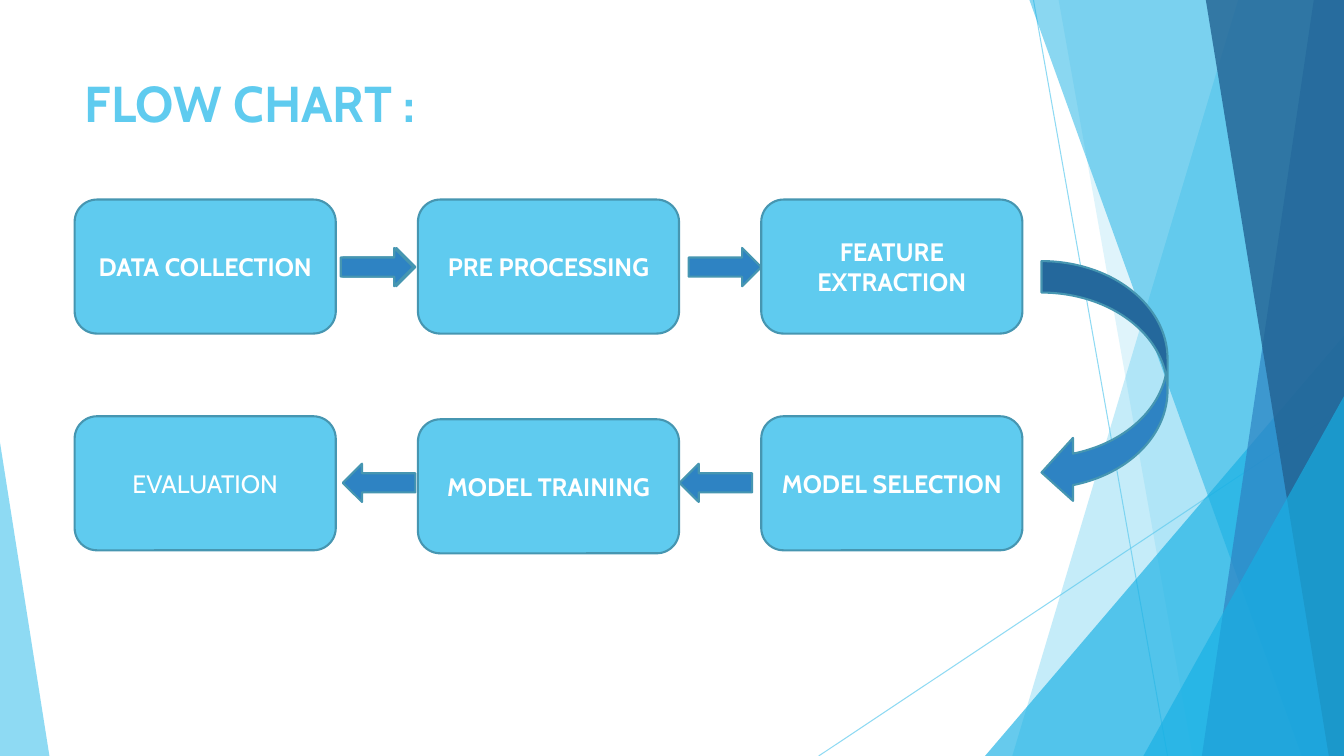
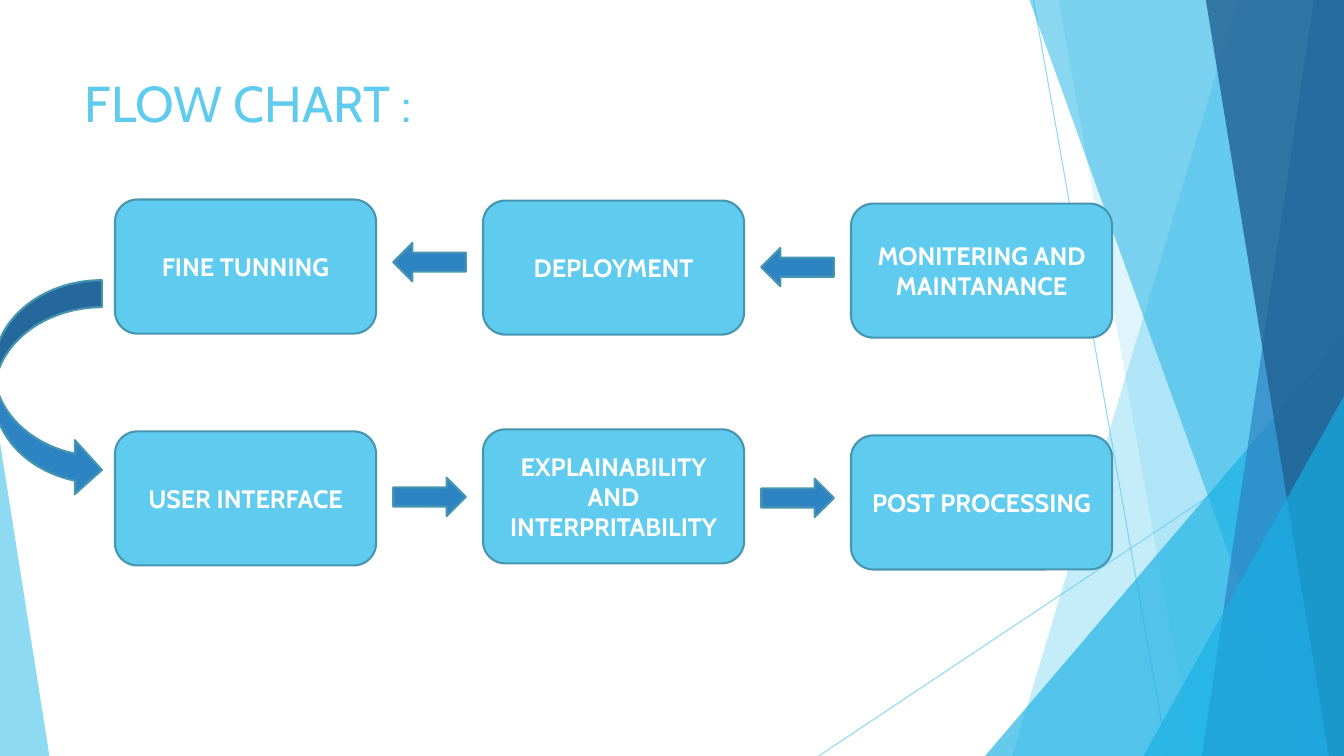
from collections import namedtuple
from dataclasses import dataclass

from lxml import etree
from pptx import Presentation
from pptx import util as u
from pptx.dml import color as colors
from pptx.enum import shapes, text
from pptx.oxml import ns

PX = 9144
WIDTH, HEIGHT = 1333, 750

Box = namedtuple("Box", "left top width height")
Step = namedtuple("Step", "label drop bold", defaults=(0, True))
Arrow = namedtuple("Arrow", "left top turn", defaults=(0,))
Flow = namedtuple("Flow", "area rows arrows bend bend_kind title_bold")


@dataclass(frozen=True)
class Theme:
    sky: str = "5FCBEF"
    cyan: str = "17B0E4"
    blue: str = "2E83C3"
    navy: str = "226292"
    outline: str = "4696B1"
    white: str = "FFFFFF"
    font: str = "Cabin"
    title_size: int = 36
    step_size: int = 18
    line_width: float = 1.5
    ray_width: float = 0.75


THEME = Theme()
STEP_WIDTH, STEP_HEIGHT = 259, 133
ARROW_WIDTH, ARROW_HEIGHT = 72, 38
TITLE = Box(74, 67, 940, 144)

RAYS = [(1025, 0, 1158, HEIGHT), (1333, 403, 812, HEIGHT)]
FACETS = [
    ("band", (1228, 1004), THEME.sky, 36),
    ("band", (1050, 1183), THEME.sky, 20),
    ("triangle", Box(977, 333, 356, 417), THEME.cyan, 66),
    ("band", (1021, 1291), THEME.cyan, 50),
    ("band", (1303, 1192), THEME.blue, 70),
    ("band", (1196, 1318), THEME.navy, 80),
    ("triangle", Box(1134, 393, 199, 357), THEME.cyan, 66),
    ("left triangle", Box(0, 439, 49, 311), THEME.sky, 70),
]

FLOWS = [
    Flow(
        area=Box(74, 198, 940, 348),
        rows=[
            (0, [Step("DATA COLLECTION"), Step("PRE PROCESSING"), Step("FEATURE EXTRACTION")]),
            (215, [Step("EVALUATION", bold=False), Step("MODEL TRAINING", 3), Step("MODEL SELECTION")]),
        ],
        arrows=[Arrow(266, 48), Arrow(264, 48), Arrow(609, 48), Arrow(266, 262, 180), Arrow(600, 262, 180)],
        bend=Box(959, 61, 125, 241),
        bend_kind=shapes.MSO_SHAPE.CURVED_LEFT_ARROW,
        title_bold=True,
    ),
    Flow(
        area=Box(114, 198, 989, 367),
        rows=[
            (0, [Step("FINE TUNNING"), Step("DEPLOYMENT", 1), Step("MONITERING AND MAINTANANCE", 4)]),
            (228, [Step("USER INTERFACE", 2), Step("EXPLAINABILITY AND INTERPRITABILITY"), Step("POST PROCESSING", 6)]),
        ],
        arrows=[Arrow(276, 276), Arrow(641, 277), Arrow(276, 43, 180), Arrow(641, 48, 180)],
        bend=Box(-120, 80, 107, 215),
        bend_kind=shapes.MSO_SHAPE.CURVED_RIGHT_ARROW,
        title_bold=False,
    ),
]


def emu(*lengths):
    return [u.Emu(round(length * PX)) for length in lengths]


def rgb(value):
    return colors.RGBColor.from_string(value)


def set_alpha(shape, percent):
    for tone in shape.element.spPr.iter(ns.qn("a:srgbClr")):
        etree.SubElement(tone, ns.qn("a:alpha"), val=str(percent * 1000))


def style_text(frame, size, color, bold):
    for para in frame.paragraphs:
        for span in para.runs:
            span.font.name = THEME.font
            span.font.size = u.Pt(size)
            span.font.bold = bold
            span.font.color.rgb = rgb(color)


def add_ray(group, ends):
    ray = group.shapes.add_connector(shapes.MSO_CONNECTOR.STRAIGHT, *emu(*ends))
    ray.line.color.rgb = rgb(THEME.sky)
    ray.line.width = u.Pt(THEME.ray_width)
    set_alpha(ray, 70)
    etree.SubElement(ray.element.spPr, ns.qn("a:effectLst"))


def add_facet(group, kind, place, color, alpha):
    if kind == "band":
        top_x, bottom_x = place
        builder = group.shapes.build_freeform(top_x, 0, scale=PX)
        builder.add_line_segments([(WIDTH, 0), (WIDTH, HEIGHT), (bottom_x, HEIGHT)], close=True)
        facet = builder.convert_to_shape()
    else:
        facet = group.shapes.add_shape(shapes.MSO_SHAPE.ISOSCELES_TRIANGLE, *emu(*place))
        facet.adjustments[0] = 1 if kind == "triangle" else 0
    facet.shadow.inherit = False
    facet.fill.solid()
    facet.fill.fore_color.rgb = rgb(color)
    facet.line.fill.background()
    set_alpha(facet, alpha)


def decorate_layout(layout, page):
    for holder in list(layout.placeholders):
        if holder.placeholder_format.type != shapes.PP_PLACEHOLDER.TITLE:
            holder.element.getparent().remove(holder.element)
    group = page.shapes.add_group_shape()
    for ends in RAYS:
        add_ray(group, ends)
    for facet in FACETS:
        add_facet(group, *facet)
    layout.shapes.element.insert(2, group.element)


def place_title(page, box, bold):
    title = page.shapes.title
    title.left, title.top, title.width, title.height = emu(*box)
    frame = title.text_frame
    frame.text = "FLOW CHART :"
    frame.word_wrap = True
    frame.vertical_anchor = text.MSO_ANCHOR.TOP
    frame.paragraphs[0].alignment = text.PP_ALIGN.LEFT
    style_text(frame, THEME.title_size, THEME.sky, bold)


def add_block(page, kind, area, box, color):
    block = page.shapes.add_shape(
        kind, *emu(area.left + box.left, area.top + box.top, box.width, box.height)
    )
    block.shadow.inherit = False
    block.fill.solid()
    block.fill.fore_color.rgb = rgb(color)
    block.line.color.rgb = rgb(THEME.outline)
    block.line.width = u.Pt(THEME.line_width)
    return block


def add_step(page, area, box, step):
    block = add_block(page, shapes.MSO_SHAPE.ROUNDED_RECTANGLE, area, box, THEME.sky)
    frame = block.text_frame
    frame.text = step.label
    frame.word_wrap = True
    frame.vertical_anchor = text.MSO_ANCHOR.MIDDLE
    frame.paragraphs[0].alignment = text.PP_ALIGN.CENTER
    style_text(frame, THEME.step_size, THEME.white, step.bold)


def place_flow(page, flow):
    area = flow.area
    for top, steps in flow.rows:
        pitch = (area.width - STEP_WIDTH) / (len(steps) - 1)
        for column, step in enumerate(steps):
            box = Box(column * pitch, top + step.drop, STEP_WIDTH, STEP_HEIGHT)
            add_step(page, area, box, step)
    for arrow in flow.arrows:
        box = Box(arrow.left, arrow.top, ARROW_WIDTH, ARROW_HEIGHT)
        block = add_block(page, shapes.MSO_SHAPE.RIGHT_ARROW, area, box, THEME.blue)
        block.rotation = arrow.turn
    add_block(page, flow.bend_kind, area, flow.bend, THEME.blue)


def main():
    deck = Presentation()
    deck.slide_width, deck.slide_height = emu(WIDTH, HEIGHT)
    layout = deck.slide_layouts.get_by_name("Title Only")
    for number, flow in enumerate(FLOWS):
        page = deck.slides.add_slide(layout)
        if number == 0:
            decorate_layout(layout, page)
        place_title(page, TITLE, flow.title_bold)
        place_flow(page, flow)
    deck.save("out.pptx")


if __name__ == "__main__":
    main()
